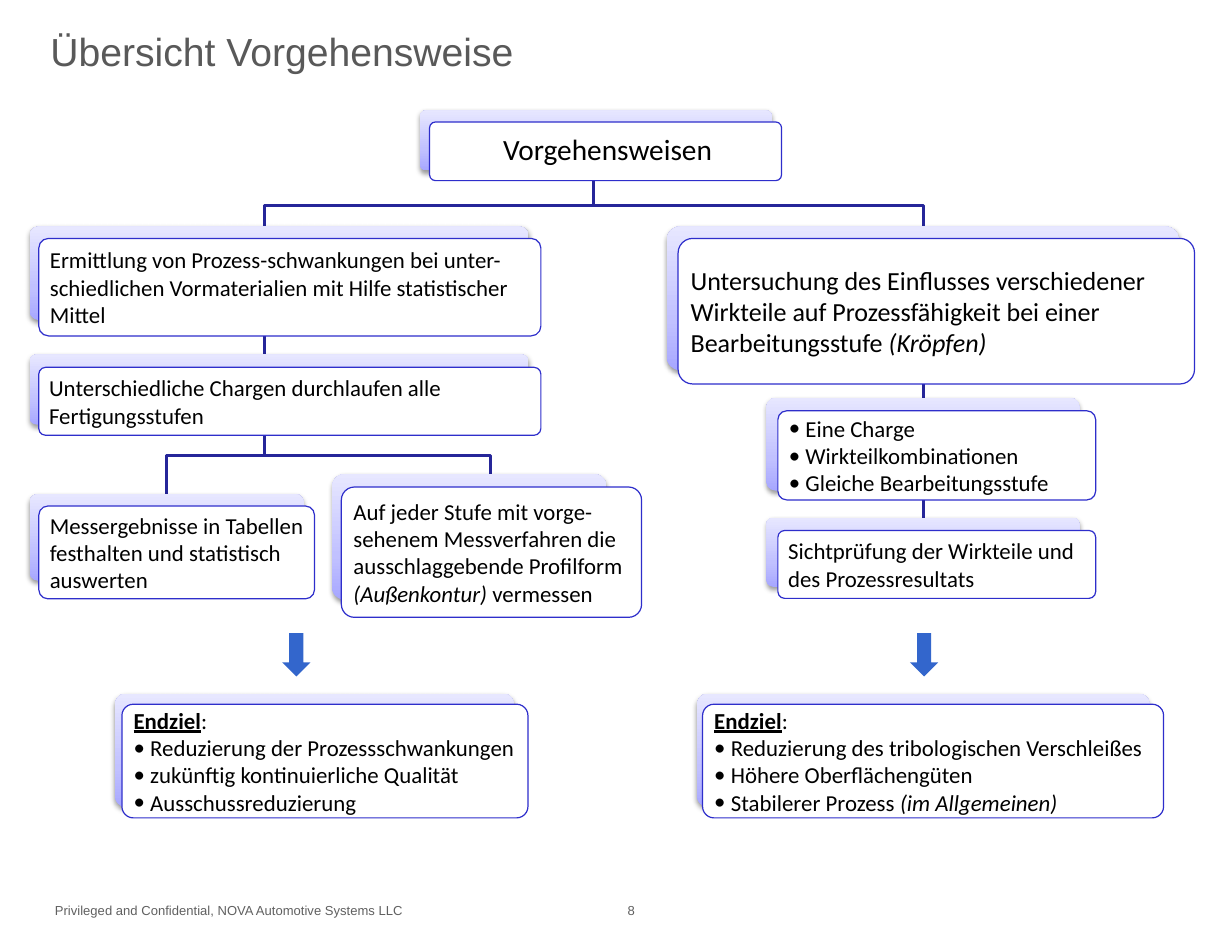
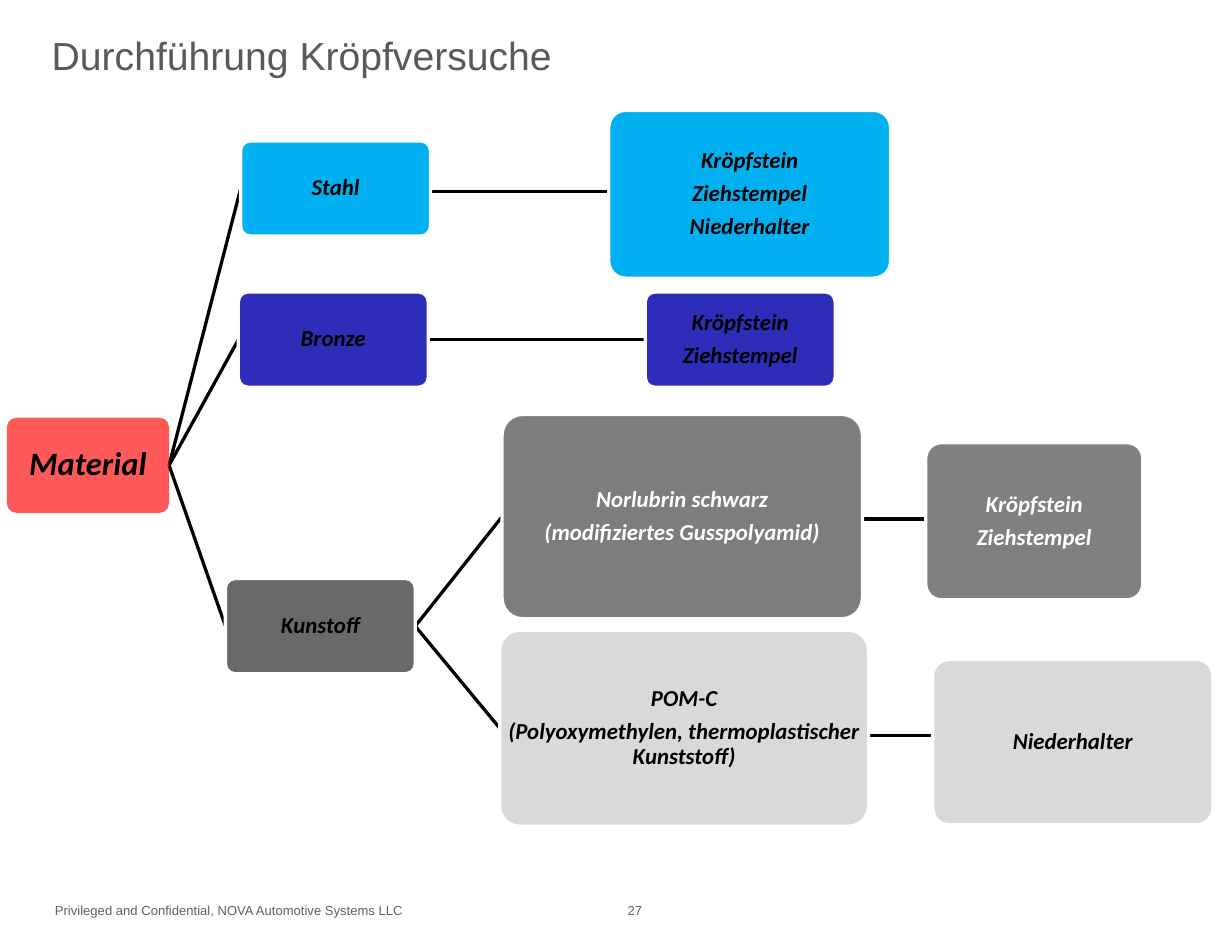
import copy
import lxml.etree
import pptx
import pptx.dml.color
import pptx.enum.shapes
import pptx.enum.text
import pptx.oxml.ns
import pptx.util

Cm = pptx.util.Cm
Pt = pptx.util.Pt
rgb = pptx.dml.color.RGBColor.from_string
qn = pptx.oxml.ns.qn
kinds = pptx.enum.shapes.MSO_SHAPE
align = pptx.enum.text.PP_ALIGN
anchor = pptx.enum.text.MSO_ANCHOR
straight = pptx.enum.shapes.MSO_CONNECTOR.STRAIGHT

hues = {
    "title": "595959", "foot": "606060", "black": "000000", "white": "FFFFFF",
    "tree": "262699", "edge": "2E2ECB", "arrow": "3366CC", "low": "A7A7FF",
    "mid": "C1C1FF", "high": "E7E7FF", "red": "FF0000", "sky": "00B0F0",
    "blue": "2D2DB9", "dark": "404040", "grey": "808080", "pale": "D9D9D9",
}
ital = {"italic": True}
goal = [("Endziel", {"bold": True, "underline": True}), ":"]


def write(shape, lines, size, hue, face="Calibri", pad=(0.18, 0.2), look={}, font={}):
    frame = shape.text_frame
    form = {
        "word_wrap": True, "vertical_anchor": anchor.MIDDLE,
        "margin_left": Cm(pad[0]), "margin_right": Cm(pad[0] / 2),
        "margin_top": Cm(pad[1]), "margin_bottom": Cm(pad[1]),
    }
    for name, value in form.items():
        setattr(frame, name, value)
    for rank, line in enumerate(lines):
        para = frame.add_paragraph() if rank else frame.paragraphs[0]
        for name, value in {"alignment": align.LEFT, **look}.items():
            setattr(para, name, value)
        runs = [line] if isinstance(line, str) else line
        for spot, part in enumerate(runs):
            text, extra = (part, {}) if isinstance(part, str) else part
            if spot == 0 and text.startswith("• "):
                text = text[2:]
                props = para._p.get_or_add_pPr()
                props.set("marL", str(Cm(0.36)))
                props.set("indent", str(-Cm(0.36)))
                lxml.etree.SubElement(props, qn("a:buFont")).set("typeface", face)
                lxml.etree.SubElement(props, qn("a:buChar")).set("char", "•")
            run = para.add_run()
            run.text = text
            run.font.color.rgb = rgb(hues[hue])
            for name, value in {"name": face, "size": Pt(size), **font, **extra}.items():
                setattr(run.font, name, value)


def block(slide, spot, fill=None, alpha=100, edge=None, width=0, kind=kinds.ROUNDED_RECTANGLE):
    shape = slide.shapes.add_shape(kind, *map(Cm, spot))
    shape.shadow.inherit = False
    if kind == kinds.ROUNDED_RECTANGLE:
        shape.adjustments[0] = 0.1
    if fill:
        shape.fill.solid()
        shape.fill.fore_color.rgb = rgb(hues[fill])
        if alpha < 100:
            tone = shape._element.spPr.find(".//" + qn("a:srgbClr"))
            lxml.etree.SubElement(tone, qn("a:alpha")).set("val", str(alpha * 1000))
    if edge:
        shape.line.color.rgb = rgb(hues[edge])
        shape.line.width = Pt(width)
    else:
        shape.line.fill.background()
    return shape


deck = pptx.Presentation()
deck.slide_width = Cm(26.67)
deck.slide_height = Cm(20.32)

pages = []
for title, left, high, page in [
    ("Übersicht Vorgehensweise", 0.81, 2.21, "8"),
    ("Durchführung Kröpfversuche", 0.84, 2.36, "27"),
]:
    slide = deck.slides.add_slide(deck.slide_layouts[6])
    pages.append(slide)
    for spot, text, size, hue, pad in [
        ((left, 0, 21.54, high), title, 24, "title", (0.28, 0.13)),
        ((0.94, 19.39, 10.92, 0.64),
         "Privileged and Confidential, NOVA Automotive Systems LLC", 8, "foot", (0.25, 0.13)),
        ((13.34, 19.36, 1.27, 0.66), page, 8, "foot", (0.25, 0.13)),
    ]:
        label = slide.shapes.add_textbox(*map(Cm, spot))
        write(label, [text], size, hue, "Arial", pad)

plan, test = pages

root, left, right = 12.85, 5.72, 19.99
for route in [
    [(right, 4.98), (right, 12.9)],
    [(left, 4.98), (left, 9.04)],
    [(left, 9.3), (left, 9.86), (10.62, 9.86), (10.62, 10.39)],
    [(left, 9.3), (left, 9.86), (3.61, 9.86), (3.61, 11.38)],
    [(root, 3.86), (root, 4.45), (right, 4.45), (right, 4.98)],
    [(root, 3.86), (root, 4.45), (left, 4.45), (left, 4.98)],
]:
    dots = [(Cm(x), Cm(y)) for x, y in route]
    if len(dots) == 2:
        line = plan.shapes.add_connector(straight, *dots[0], *dots[1])
        lxml.etree.SubElement(line._element.spPr, qn("a:effectLst"))
    else:
        trace = plan.shapes.build_freeform(*dots[0], scale=1.0)
        trace.add_line_segments(dots[1:], close=False)
        line = trace.convert_to_shape()
        line.shadow.inherit = False
        line.fill.background()
    line.line.color.rgb = rgb(hues["tree"])
    line.line.width = Pt(2)

center = {"alignment": align.CENTER, "line_spacing": 0.9, "space_after": Pt(5)}
cards = [
    ((9.09, 2.39, 7.62, 1.3), (9.3, 2.64, 7.62, 1.27), 18, ["Vorgehensweisen"]),
    ((0.64, 4.9, 10.8, 2.03), (0.84, 5.16, 10.87, 2.11), 14,
     ["Ermittlung von Prozess-schwankungen bei unter-schiedlichen "
      "Vormaterialien mit Hilfe statistischer Mittel"]),
    ((14.43, 4.9, 11.1, 3.12), (14.68, 5.16, 11.18, 3.15), 16,
     [["Untersuchung des Einflusses verschiedener Wirkteile auf "
       "Prozessfähigkeit bei einer Bearbeitungsstufe ", ("(Kröpfen)", ital)]]),
    ((0.64, 7.67, 10.8, 1.52), (0.84, 7.95, 10.87, 1.47), 14,
     ["Unterschiedliche Chargen durchlaufen alle Fertigungsstufen"]),
    ((0.64, 10.69, 5.94, 1.88), (0.84, 10.95, 5.97, 2.01), 14,
     ["Messergebnisse in Tabellen festhalten und statistisch auswerten"]),
    ((7.19, 10.26, 5.94, 2.72), (7.39, 10.54, 6.5, 2.82), 14,
     [["Auf jeder Stufe mit vorge-sehenem Messverfahren die "
       "ausschlaggebende Profilform ", ("(Außenkontur) ", ital), "vermessen"]]),
    ((2.49, 15.01, 8.64, 2.46), (2.64, 15.24, 8.79, 2.46), 14,
     [goal, "• Reduzierung der Prozessschwankungen",
      "• zukünftig kontinuierliche Qualität", "• Ausschussreduzierung"]),
    ((16.59, 8.61, 6.78, 2.01), (16.84, 8.89, 6.88, 1.93), 14,
     ["• Eine Charge", "• Wirkteilkombinationen", "• Gleiche Bearbeitungsstufe"]),
    ((16.59, 11.2, 6.78, 1.5), (16.84, 11.48, 6.88, 1.47), 14,
     ["Sichtprüfung der Wirkteile und des Prozessresultats"]),
    ((15.09, 15.01, 9.8, 2.46), (15.21, 15.24, 9.98, 2.46), 14,
     [goal, "• Reduzierung des tribologischen Verschleißes", "• Höhere Oberflächengüten",
      ["• Stabilerer Prozess ", ("(im Allgemeinen)", ital)]]),
]
for back, front, size, lines in cards:
    plate = block(plan, back)
    plate.fill.gradient()
    plate.fill.gradient_angle = 90
    props = plate._element.spPr
    stops = props.find(".//" + qn("a:gsLst"))
    stops.insert(1, copy.deepcopy(stops[0]))
    for stop, (place, hue) in zip(plate.fill.gradient_stops, [(0, "low"), (0.35, "mid"), (1, "high")]):
        stop.position = place
        stop.color.rgb = rgb(hues[hue])
    glow = lxml.etree.SubElement(props.find(qn("a:effectLst")), qn("a:outerShdw"))
    for name, value in {"blurRad": Pt(3.1), "dist": Pt(1.6), "dir": 5400000, "rotWithShape": 0}.items():
        glow.set(name, str(value))
    tone = lxml.etree.SubElement(glow, qn("a:srgbClr"))
    tone.set("val", hues["black"])
    lxml.etree.SubElement(tone, qn("a:alpha")).set("val", "38000")
    card = block(plan, front, "white", edge="edge", width=0.75)
    write(card, lines, size, "black", look=center if size == 18 else {})

for x in (6.11, 19.7):
    block(plan, (x, 13.7, 0.61, 0.94), "arrow", kind=kinds.DOWN_ARROW)

small = (4.11, 2.06)
nodes = [
    ("root", None, (0.15, 9.04, 3.51, 2.06), "red", 65, "black", ["Material"]),
    ("steel", "root", (5.21, 3.05, *small), "sky", 100, "black", ["Stahl"]),
    ("steel parts", "steel", (13.18, 2.39, 6.1, 3.63), "sky", 100, "black",
     ["Kröpfstein", "Ziehstempel", "Niederhalter"]),
    ("bronze", "root", (5.16, 6.32, *small), "blue", 100, "black", ["Bronze"]),
    ("bronze parts", "bronze", (13.97, 6.32, *small), "blue", 100, "black",
     ["Kröpfstein", "Ziehstempel"]),
    ("plastic", "root", (4.88, 12.52, *small), "dark", 78, "black", ["Kunstoff"]),
    ("cast", "plastic", (10.87, 8.97, 7.8, 4.42), "black", 51, "white",
     ["Norlubrin schwarz", "(modifiziertes Gusspolyamid)"]),
    ("cast parts", "cast", (20.04, 9.58, 4.7, 3.4), "grey", 100, "white",
     ["Kröpfstein", "Ziehstempel"]),
    ("pom", "plastic", (10.82, 13.64, 7.98, 4.24), "pale", 100, "black",
     ["POM-C", "(Polyoxymethylen, thermoplastischer Kunststoff)"]),
    ("pom parts", "pom", (20.19, 14.27, 6.07, 3.58), "pale", 100, "black", ["Niederhalter"]),
]
made = {}
for name, source, spot, fill, alpha, ink, lines in nodes:
    node = block(test, spot, fill, alpha, "white" if source else None, 2)
    made[name] = node
    write(node, lines, 14 if source else 20, ink, pad=(0, 0), look=center,
          font={"bold": True, "italic": True})
    if source:
        base = made[source]
        start, end = [item.top + item.height // 2 for item in (base, node)]
        if name.endswith("parts"):
            start = end = (start + end) // 2
        link = test.shapes.add_connector(straight, base.left + base.width, start, node.left, end)
        link.line.color.rgb = rgb(hues["black"])
        link.line.width = Pt(2.25 if name == "bronze parts" else 2)
        lxml.etree.SubElement(link._element.spPr, qn("a:effectLst"))
        test.shapes._spTree.insert(2, link._element)

deck.save("out.pptx")
